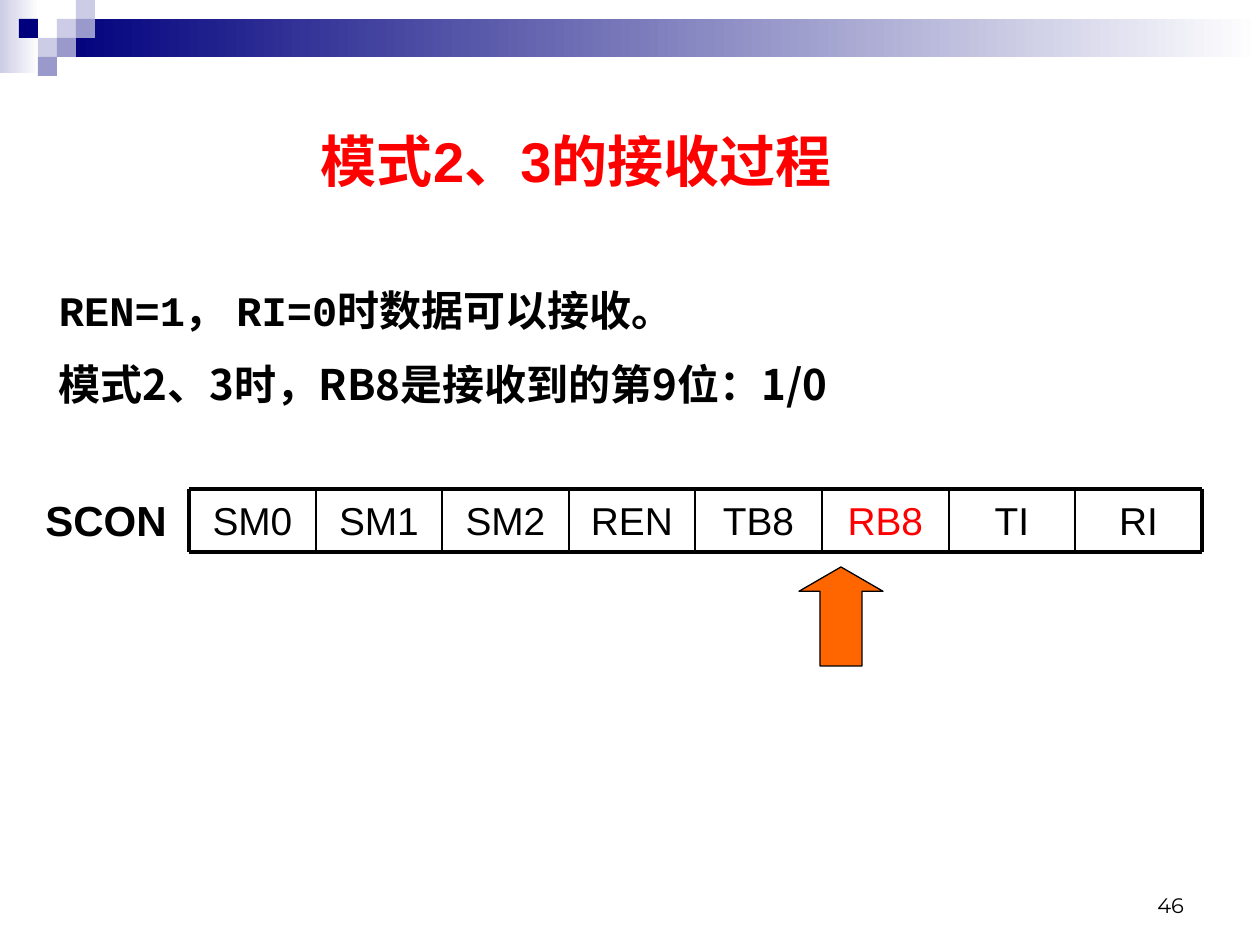
from lxml import etree
from pptx import Presentation
from pptx.dml.color import RGBColor
from pptx.enum.shapes import MSO_CONNECTOR, MSO_SHAPE
from pptx.enum.text import MSO_ANCHOR, PP_ALIGN
from pptx.oxml.ns import qn
from pptx.util import Pt

EMU_PER_PX = 914400 / 126

BLACK = RGBColor(0x00, 0x00, 0x00)
WHITE = RGBColor(0xFF, 0xFF, 0xFF)
RED = RGBColor(0xFF, 0x00, 0x00)
ORANGE = RGBColor(0xFF, 0x66, 0x00)
NAVY = RGBColor(0x00, 0x00, 0x7D)
LAVENDER = RGBColor(0xCC, 0xCC, 0xE6)
VIOLET = RGBColor(0x99, 0x99, 0xCC)

RECTANGLE, UP_ARROW = MSO_SHAPE.RECTANGLE, MSO_SHAPE.UP_ARROW
STRAIGHT = MSO_CONNECTOR.STRAIGHT
TOP, MIDDLE, BOTTOM = MSO_ANCHOR.TOP, MSO_ANCHOR.MIDDLE, MSO_ANCHOR.BOTTOM
CENTER, RIGHT, JUSTIFY = PP_ALIGN.CENTER, PP_ALIGN.RIGHT, PP_ALIGN.JUSTIFY

CJK_FONT = "Noto Sans CJK SC"
TITLE = {"name": "Arial", "size": Pt(32), "bold": True}
CODE = {"name": "Courier New", "size": Pt(24), "bold": True}
BODY = {**CODE, "name": CJK_FONT}
LABEL = {**CODE, "name": "Arial"}
CELL = {"name": "Arial", "size": Pt(22.2)}
NUMBER = {"name": "Montserrat", "size": Pt(12)}

SQUARE = 19
SQUARES = [  # column, row, colour
    (3, 1, LAVENDER), (4, 0, LAVENDER), (4, 1, VIOLET), (2, 2, LAVENDER),
    (1, 1, NAVY), (3, 2, VIOLET), (2, 3, VIOLET),
]
BITS = ["SM0", "SM1", "SM2", "REN", "TB8", "RB8", "TI", "RI"]
RECEIVED_BIT = "RB8"
REGISTER_LEFT, REGISTER_TOP, REGISTER_WIDTH, REGISTER_HEIGHT = 189, 489, 1013, 63


def px(value):
    return round(value * EMU_PER_PX)


def add_filled(page, kind, area, color):
    shape = page.shapes.add_shape(kind, *map(px, area))
    shape.shadow.inherit = False
    shape.fill.solid()
    shape.fill.fore_color.rgb = color
    shape.line.fill.background()
    return shape


def add_fade(page, area, color):
    """Add a rectangle that fades from the colour to white, left to right."""
    fill = add_filled(page, RECTANGLE, area, color).fill
    fill.gradient()
    fill.gradient_angle = 0
    for stop, position, stop_color in zip(fill.gradient_stops, (0, 1), (color, WHITE)):
        stop.position = position
        stop.color.rgb = stop_color


def add_span(para, text, style, color):
    span = para.add_run()
    span.text = text
    for name, value in style.items():
        setattr(span.font, name, value)
    span.font.color.rgb = color
    etree.SubElement(span.font._element, qn("a:ea"), typeface=CJK_FONT)


def add_text(page, area, lines, align, color=BLACK, anchor=TOP, wrap=True,
             side=13, spacing=1.0):
    """Add a text box; each line is a list of (text, style) spans."""
    box = page.shapes.add_textbox(*map(px, area))
    frame = box.text_frame
    layout = {"word_wrap": wrap, "vertical_anchor": anchor,
              "margin_left": px(side), "margin_right": px(side)}
    for name, value in layout.items():
        setattr(frame, name, value)
    for index, spans in enumerate(lines):
        para = frame.add_paragraph() if index else frame.paragraphs[0]
        para.alignment = align
        para.line_spacing = spacing
        if index:
            para.space_before = Pt(6)
        for text, style in spans:
            add_span(para, text, style, color)


def add_line(page, start, end, width):
    line = page.shapes.add_connector(STRAIGHT, *map(px, (*start, *end)))
    line.line.color.rgb = BLACK
    line.line.width = Pt(width)
    etree.SubElement(line._element.spPr, qn("a:effectLst"))


def add_banner(page):
    add_fade(page, (0, 0, 39, 73), LAVENDER)
    add_fade(page, (57, 19, 1203, 38), NAVY)
    for column, row, color in SQUARES:
        area = (column * SQUARE, row * SQUARE, SQUARE, SQUARE)
        add_filled(page, RECTANGLE, area, color)


def add_register(page):
    count = len(BITS)
    edges = [REGISTER_LEFT + round(i * REGISTER_WIDTH / count) for i in range(count + 1)]
    bottom = REGISTER_TOP + REGISTER_HEIGHT
    for left, right, bit in zip(edges, edges[1:], BITS):
        area = (left, REGISTER_TOP, right - left, REGISTER_HEIGHT)
        color = RED if bit == RECEIVED_BIT else BLACK
        add_text(page, area, [[(bit, CELL)]], CENTER, color, MIDDLE)
    for y in (REGISTER_TOP, bottom):
        add_line(page, (edges[0], y), (edges[-1], y), 2.25)
    for x in edges:
        width = 2.25 if x in (edges[0], edges[-1]) else 1
        add_line(page, (x, REGISTER_TOP), (x, bottom), width)


def add_pointer(page):
    arrow = add_filled(page, UP_ARROW, (799, 567, 84, 99), ORANGE)
    arrow.adjustments[0] = 0.5
    arrow.adjustments[1] = 0.29
    arrow.line.color.rgb = BLACK
    arrow.line.width = Pt(0.75)


def main():
    deck = Presentation()
    deck.slide_width, deck.slide_height = px(1260), px(945)
    page = deck.slides.add_slide(deck.slide_layouts[6])
    add_banner(page)
    add_text(page, (46, 266, 1073, 171), [
        [("REN=1， RI=0", CODE), ("时数据可以接收。", BODY)],
        [("模式2、3时，RB8是接收到的第9位：1/0", BODY)],
    ], JUSTIFY, spacing=1.25)
    add_text(page, (273, 120, 607, 81), [[("模式2、3的接收过程", TITLE)]], CENTER, RED)
    add_register(page)
    add_pointer(page)
    add_text(page, (33, 488, 146, 63), [[("SCON", LABEL)]], CENTER, wrap=False, side=0)
    add_text(page, (903, 861, 294, 63), [[("46", NUMBER)]], RIGHT, anchor=BOTTOM)
    deck.save("out.pptx")


if __name__ == "__main__":
    main()
